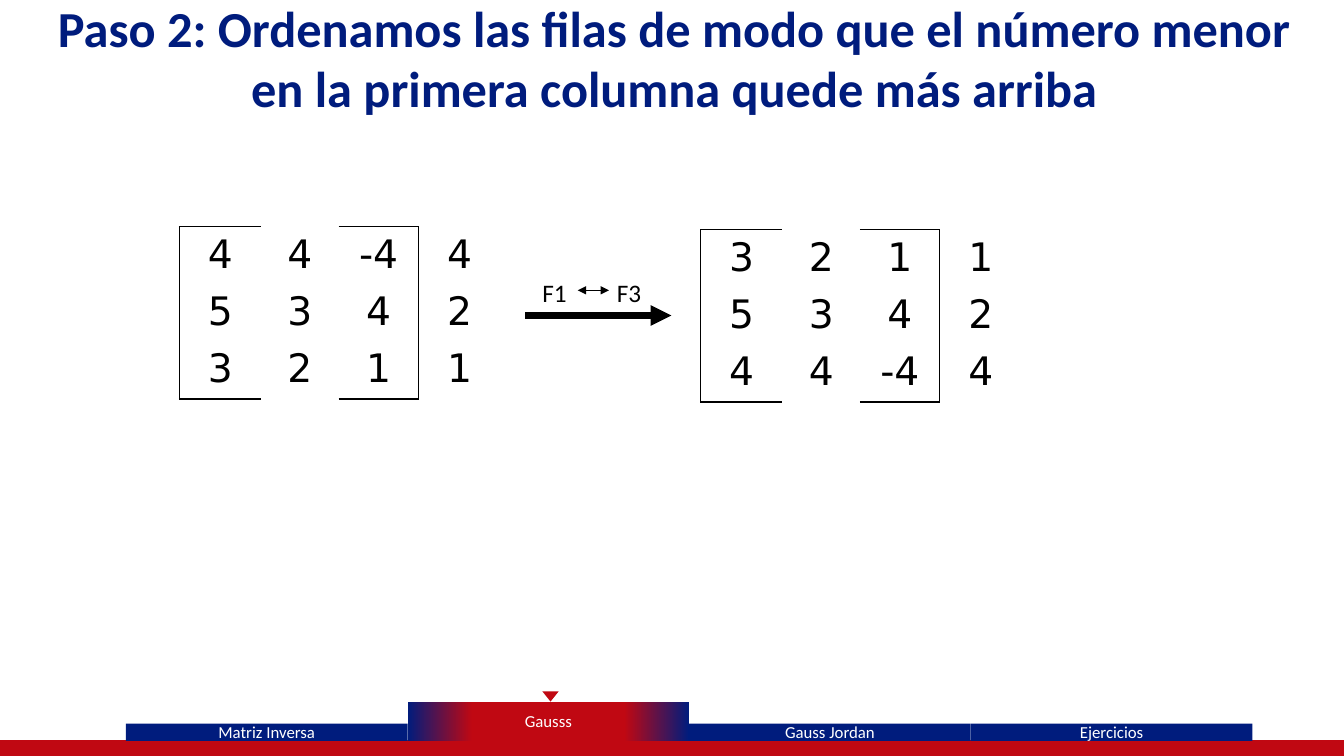
from dataclasses import dataclass

from lxml.etree import SubElement
from pptx import Presentation
from pptx.dml.color import RGBColor
from pptx.enum.shapes import MSO_CONNECTOR as Connector, MSO_SHAPE as Shape
from pptx.enum.text import MSO_ANCHOR as Anchor, MSO_AUTO_SIZE as AutoSize, PP_ALIGN as Align
from pptx.oxml import parse_xml
from pptx.oxml.ns import nsdecls, qn
from pptx.util import Inches, Pt


@dataclass(frozen=True)
class Theme:
    navy: str = "001C7D"
    red: str = "C00812"
    outline: str = "36147C"
    black: str = "000000"
    white: str = "FFFFFF"
    text_font: str = "Calibri"
    matrix_font: str = "DejaVu Sans"
    title_size: int = 36
    matrix_size: int = 28
    label_size: int = 18
    tab_size: int = 12


THEME = Theme()
TITLE = ("Paso 2: Ordenamos las filas de modo que el número menor "
         "en la primera columna quede más arriba")
ROW_SWAP = "F1\tF3"
MATRICES = [
    (1.78, 2.25, [["4", "4", "-4", "4"], ["5", "3", "4", "2"], ["3", "2", "1", "1"]]),
    (6.95, 2.28, [["3", "2", "1", "1"], ["5", "3", "4", "2"], ["4", "4", "-4", "4"]]),
]
COLUMN_WIDTHS = [0.81, 0.77, 0.79, 0.82]
ROW_HEIGHT = 0.57
BRACKET_RIGHT_COLUMN = 2
TABS = ["Matriz Inversa", "Gausss", "Gauss Jordan", "Ejercicios"]
ACTIVE_TAB = 1
ACTIVE_STOPS = [(0, THEME.navy), (23, THEME.red), (77, THEME.red), (100, THEME.navy)]
TAB_LEFT, TAB_WIDTH, TAB_BOTTOM = 1.25, 2.793, 7.35
TAB_HEIGHT, ACTIVE_HEIGHT = 0.17, 0.39
NO_GRID_STYLE = "{2D5ABB26-0587-4C30-8999-92F81FD0307C}"


def box(left, top, width, height):
    return [Inches(length) for length in (left, top, width, height)]


def style(paragraph, size, color, font=THEME.text_font, bold=False, align=Align.CENTER):
    paragraph.alignment = align
    paragraph.font.size = Pt(size)
    paragraph.font.name = font
    paragraph.font.bold = bold
    paragraph.font.color.rgb = RGBColor.from_string(color)


def add_block(slide, kind, place, color):
    shape = slide.shapes.add_shape(kind, *box(*place))
    shape.shadow.inherit = False
    shape.fill.solid()
    shape.fill.fore_color.rgb = RGBColor.from_string(color)
    shape.line.fill.background()
    return shape


def add_text(slide, place, text):
    shape = slide.shapes.add_textbox(*box(*place))
    frame = shape.text_frame
    frame.word_wrap = True
    frame.auto_size = AutoSize.SHAPE_TO_FIT_TEXT
    frame.text = text
    return frame.paragraphs[0]


def line_xml(tag, color, width):
    return parse_xml(
        f'<a:{tag} {nsdecls("a")} w="{Pt(width)}"><a:solidFill>'
        f'<a:srgbClr val="{color}"/></a:solidFill></a:{tag}>')


def add_arrow(slide, start, end, y, width, heads):
    arrow = slide.shapes.add_connector(
        Connector.STRAIGHT, Inches(start), Inches(y), Inches(end), Inches(y))
    arrow.line.color.rgb = RGBColor.from_string(THEME.black)
    arrow.line.width = Pt(width)
    line = arrow.line._get_or_add_ln()
    for head in heads:
        SubElement(line, qn(f"a:{head}"), type="triangle")
    SubElement(arrow._element.spPr, qn("a:effectLst"))


def bracket_edges(row, column, last_row):
    if column not in (0, BRACKET_RIGHT_COLUMN):
        return []
    edges = ["lnL" if column == 0 else "lnR"]
    if row == 0:
        edges.append("lnT")
    if row == last_row:
        edges.append("lnB")
    return edges


def add_matrix(slide, left, top, values):
    frame = slide.shapes.add_table(
        len(values), len(COLUMN_WIDTHS),
        *box(left, top, sum(COLUMN_WIDTHS), ROW_HEIGHT * len(values)))
    table = frame.table
    table.first_row = table.horz_banding = False
    table._tbl.tblPr.find(qn("a:tableStyleId")).text = NO_GRID_STYLE
    for column, width in zip(table.columns, COLUMN_WIDTHS):
        column.width = Inches(width)
    for row_index, row in enumerate(values):
        table.rows[row_index].height = Inches(ROW_HEIGHT)
        for column_index, value in enumerate(row):
            cell = table.cell(row_index, column_index)
            cell.text = value
            style(cell.text_frame.paragraphs[0], THEME.matrix_size, THEME.black,
                  THEME.matrix_font)
            cell.fill.background()
            properties = cell._tc.get_or_add_tcPr()
            edges = bracket_edges(row_index, column_index, len(values) - 1)
            for position, edge in enumerate(edges):
                properties.insert(position, line_xml(edge, THEME.black, 1))


def add_tab(slide, index, label):
    active = index == ACTIVE_TAB
    height = ACTIVE_HEIGHT if active else TAB_HEIGHT
    place = (TAB_LEFT + index * TAB_WIDTH, TAB_BOTTOM - height, TAB_WIDTH, height)
    tab = add_block(slide, Shape.RECTANGLE, place, THEME.navy)
    if active:
        tab.fill.gradient()
        tab.fill.gradient_angle = 0
        stops = tab._element.spPr.find(f'{qn("a:gradFill")}/{qn("a:gsLst")}')
        stops.clear()
        for percent, color in ACTIVE_STOPS:
            stop = SubElement(stops, qn("a:gs"), pos=str(percent * 1000))
            SubElement(stop, qn("a:srgbClr"), val=color)
    tab.text_frame.text = label
    tab.text_frame.vertical_anchor = Anchor.MIDDLE
    style(tab.text_frame.paragraphs[0], THEME.tab_size, THEME.white)


def main():
    presentation = Presentation()
    presentation.slide_width, presentation.slide_height = Inches(13.33), Inches(7.5)
    slide = presentation.slides.add_slide(presentation.slide_layouts[6])

    footer = add_block(slide, Shape.FLOWCHART_PROCESS, (-0.01, 7.35, 13.35, 0.15), THEME.red)
    footer.line.color.rgb = RGBColor.from_string(THEME.red)
    footer.line.width = Pt(1)
    for index, label in enumerate(TABS):
        add_tab(slide, index, label)
    marker = add_block(slide, Shape.ISOSCELES_TRIANGLE, (5.38, 6.86, 0.16, 0.1), THEME.red)
    marker.rotation = 180

    title = add_text(slide, (0.38, -0.08, 12.62, 1.31), TITLE)
    style(title, THEME.title_size, THEME.navy, bold=True)
    title.runs[0]._r.get_or_add_rPr().insert(0, line_xml("ln", THEME.outline, 0.75))

    for matrix in MATRICES:
        add_matrix(slide, *matrix)

    add_arrow(slide, 5.21, 6.66, 3.13, 5, ["tailEnd"])
    swap = add_text(slide, (5.28, 2.7, 1.41, 0.4), ROW_SWAP)
    tab_stops = SubElement(swap._p.get_or_add_pPr(), qn("a:tabLst"))
    SubElement(tab_stops, qn("a:tab"), pos=str(Inches(0.74)), algn="l")
    style(swap, THEME.label_size, THEME.black, align=Align.LEFT)
    add_arrow(slide, 5.73, 6.04, 2.88, 0.5, ["headEnd", "tailEnd"])

    presentation.save("out.pptx")


if __name__ == "__main__":
    main()
